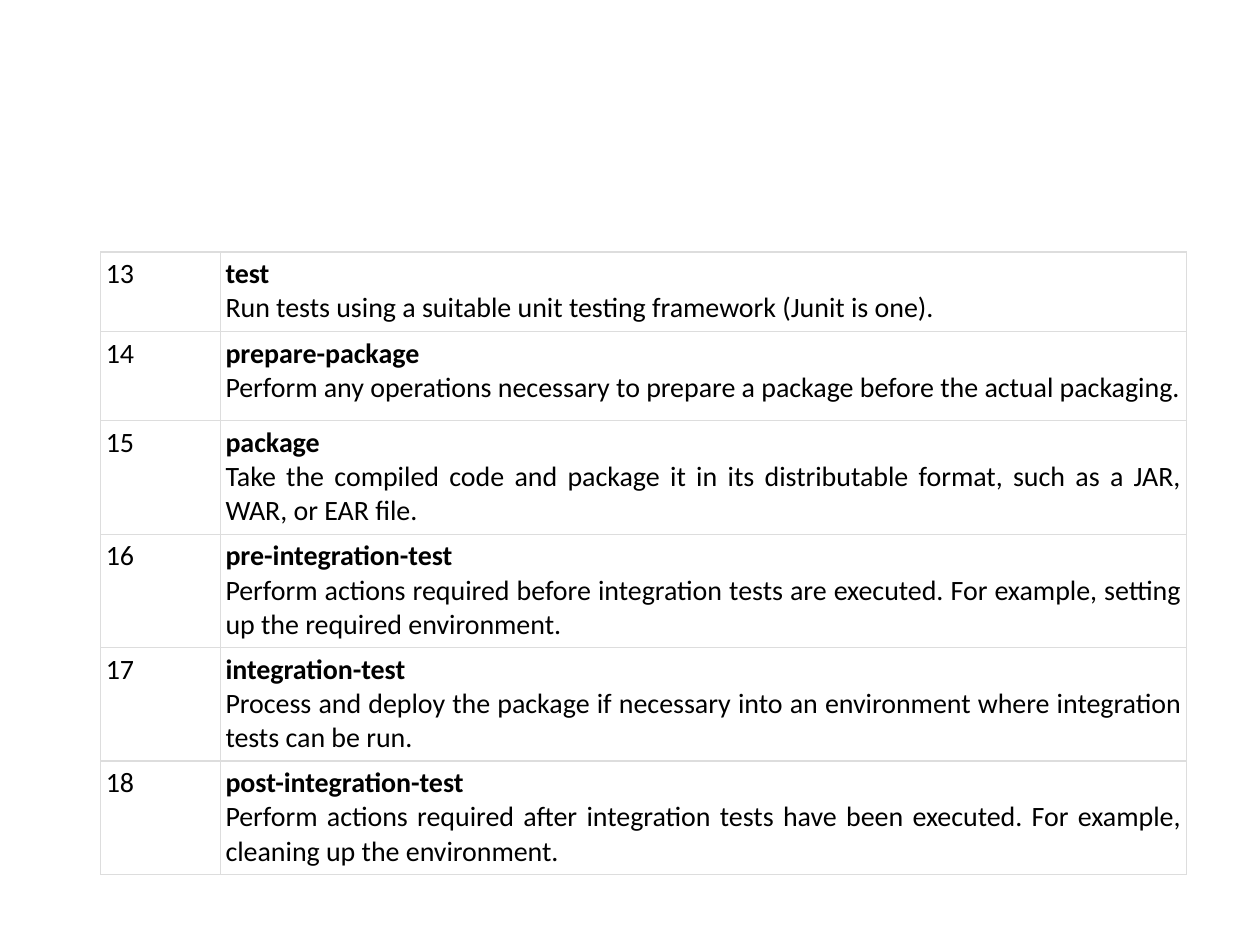
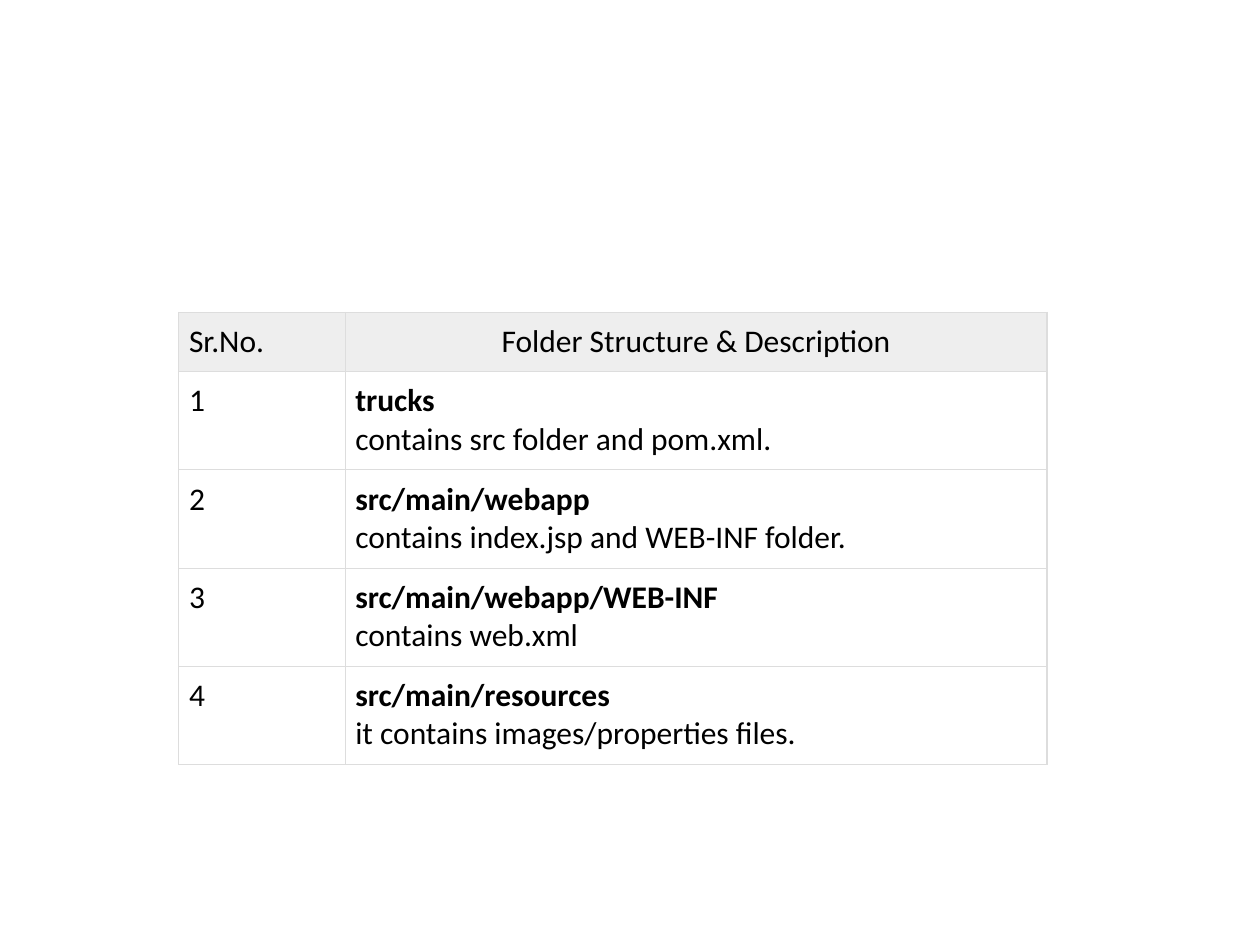
from dataclasses import dataclass

from lxml.etree import SubElement
from pptx import Presentation
from pptx.dml.color import RGBColor
from pptx.enum.text import MSO_ANCHOR, PP_ALIGN as Align
from pptx.oxml.ns import qn
from pptx.util import Inches, Pt


@dataclass(frozen=True)
class Theme:
    font: str = "Calibri"
    text: str = "000000"
    border: str = "DDDDDD"
    border_width: float = 0.75
    header_fill: str = "EEEEEE"


THEME = Theme()
SLIDE_SIZE = (10, 7.5)
BLANK_LAYOUT = 6

# Each row: number, name, description. Lengths are inches, text sizes points.
BUILD_PHASES = {
    "position": (0.8, 2),
    "columns": (0.95, 7.67),
    "row_heights": (0.63, 0.71, 0.9, 0.9, 0.9, 0.9),
    "inset": 0.04,
    "text_size": 16,
    "header": None,
    "rows": [
        ("13", "test",
         "Run tests using a suitable unit testing framework (Junit is one)."),
        ("14", "prepare-package",
         "Perform any operations necessary to prepare a package before the actual packaging."),
        ("15", "package",
         "Take the compiled code and package it in its distributable format, "
         "such as a JAR, WAR, or EAR file."),
        ("16", "pre-integration-test",
         "Perform actions required before integration tests are executed. "
         "For example, setting up the required environment."),
        ("17", "integration-test",
         "Process and deploy the package if necessary into an environment "
         "where integration tests can be run."),
        ("18", "post-integration-test",
         "Perform actions required after integration tests have been executed. "
         "For example, cleaning up the environment."),
    ],
}
FOLDERS = {
    "position": (1.42, 2.48),
    "columns": (1.32, 5.57),
    "row_heights": (0.47, 0.78, 0.78, 0.78, 0.78),
    "inset": 0.08,
    "text_size": 18,
    "header": ("Sr.No.", "Folder Structure & Description"),
    "rows": [
        ("1", "trucks", "contains src folder and pom.xml."),
        ("2", "src/main/webapp", "contains index.jsp and WEB-INF folder."),
        ("3", "src/main/webapp/WEB-INF", "contains web.xml"),
        ("4", "src/main/resources", "it contains images/properties files."),
    ],
}


def add_borders(cell):
    properties = cell._tc.get_or_add_tcPr()
    for index, side in enumerate(("lnL", "lnR", "lnT", "lnB")):
        line = SubElement(properties, qn(f"a:{side}"), w=str(Pt(THEME.border_width)))
        fill = SubElement(line, qn("a:solidFill"))
        SubElement(fill, qn("a:srgbClr"), val=THEME.border)
        properties.insert(index, line)  # borders must precede the cell fill


def fill_cell(cell, lines, size, inset, align=Align.LEFT, fill=None):
    """Write lines of (text, bold), one paragraph each, and style the cell."""
    cell.margin_left = cell.margin_right = Inches(inset)
    cell.margin_top = cell.margin_bottom = Inches(inset)
    cell.vertical_anchor = MSO_ANCHOR.TOP
    if fill:
        cell.fill.solid()
        cell.fill.fore_color.rgb = RGBColor.from_string(fill)
    else:
        cell.fill.background()
    add_borders(cell)

    frame = cell.text_frame
    for index, (text, bold) in enumerate(lines):
        paragraph = frame.add_paragraph() if index else frame.paragraphs[0]
        paragraph.text = text
        paragraph.alignment = align
        font = paragraph.font
        font.name, font.size, font.bold = THEME.font, Pt(size), bold
        font.color.rgb = RGBColor.from_string(THEME.text)


def add_description_table(slide, content):
    columns, heights = content["columns"], content["row_heights"]
    bounds = (*content["position"], sum(columns), sum(heights))
    table = slide.shapes.add_table(len(heights), len(columns), *map(Inches, bounds)).table
    table.first_row = content["header"] is not None
    table.horz_banding = False
    for column, width in zip(table.columns, columns):
        column.width = Inches(width)
    for row, height in zip(table.rows, heights):
        row.height = Inches(height)

    style = {"size": content["text_size"], "inset": content["inset"]}
    table_rows = iter(table.rows)
    if content["header"]:
        cells = next(table_rows).cells
        for cell, text, align in zip(cells, content["header"], (Align.LEFT, Align.CENTER)):
            fill_cell(cell, [(text, False)], align=align, fill=THEME.header_fill, **style)
    for row, (number, name, description) in zip(table_rows, content["rows"]):
        number_cell, description_cell = row.cells
        fill_cell(number_cell, [(number, False)], **style)
        fill_cell(description_cell, [(name, True), (description, False)],
                  align=Align.JUSTIFY, **style)


def main():
    presentation = Presentation()
    presentation.slide_width, presentation.slide_height = map(Inches, SLIDE_SIZE)
    for content in (BUILD_PHASES, FOLDERS):
        slide = presentation.slides.add_slide(presentation.slide_layouts[BLANK_LAYOUT])
        add_description_table(slide, content)
    presentation.save("out.pptx")


if __name__ == "__main__":
    main()
